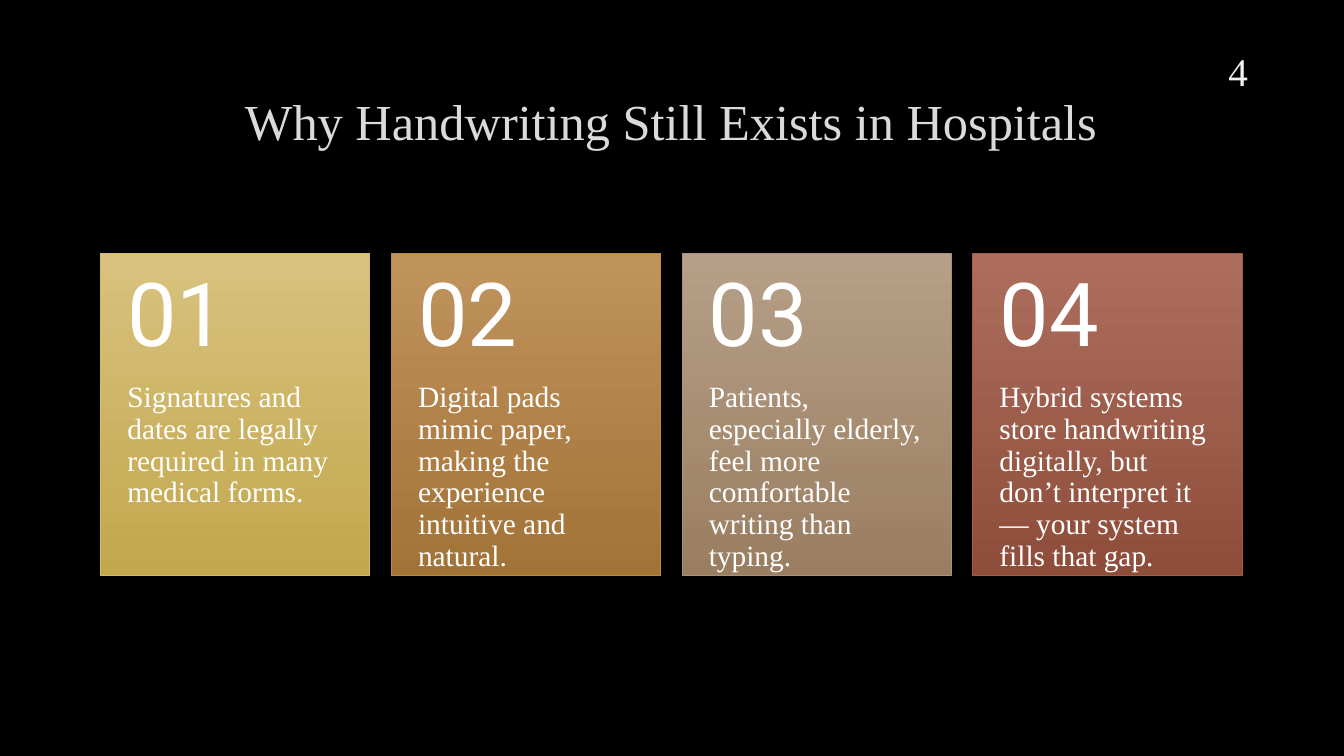
from pptx import Presentation
from pptx.dml.color import RGBColor
from pptx.enum.shapes import MSO_SHAPE as Shape
from pptx.enum.text import MSO_ANCHOR as Anchor, MSO_AUTO_SIZE as AutoSize, PP_ALIGN as Align
from pptx.util import Pt

SERIF = "Times New Roman"
WHITE = "FFFFFF"

# Card grid
CARD_LEFT, CARD_TOP = 72, 180.8
CARD_WIDTH, CARD_HEIGHT = 192.3, 230.4
CARD_STEP = 207.65
NUMBER_HEIGHT = 92.2

# Text, gradient top, gradient bottom, border
CARDS = [
    ("Signatures and dates are legally required in many medical forms.",
     "D8C27E", "C2A74D", "D3BA68"),
    ("Digital pads mimic paper, making the experience intuitive and natural.",
     "C1935D", "A17337", "BB8640"),
    ("Patients, especially elderly, feel more comfortable writing than typing.",
     "B69F88", "9A7E61", "AD9277"),
    ("Hybrid systems store handwriting digitally, but don’t interpret it — your system fills that gap.",
     "AD6E5E", "8E4D3A", "A55A43"),
]

NUMBER_FRAME = {"vertical_anchor": Anchor.MIDDLE, "margin_left": Pt(19), "margin_right": Pt(19),
                "margin_top": Pt(13), "margin_bottom": Pt(13)}
BODY_FRAME = {"vertical_anchor": Anchor.TOP, "margin_left": Pt(19), "margin_right": Pt(19),
              "margin_top": Pt(0), "margin_bottom": Pt(26)}
CARD_PARAGRAPH = {"alignment": Align.LEFT, "line_spacing": 0.9}


def color(hex_string):
    return RGBColor.from_string(hex_string)


def apply(target, values):
    for name, value in values.items():
        setattr(target, name, value)


def place(shape, left, top, width, height):
    apply(shape, {"left": Pt(left), "top": Pt(top), "width": Pt(width), "height": Pt(height)})


def write(shape, text, font_name, size, hex_string, frame_format, paragraph_format):
    frame = shape.text_frame
    apply(frame, {"text": text, "word_wrap": True, "auto_size": AutoSize.NONE, **frame_format})
    paragraph = frame.paragraphs[0]
    apply(paragraph, paragraph_format)
    font = paragraph.runs[0].font
    apply(font, {"name": font_name, "size": Pt(size)})
    font.color.rgb = color(hex_string)


def add_text(slide, box, *text_format):
    shape = slide.shapes.add_textbox(*map(Pt, box))
    write(shape, *text_format)


def add_panel(slide, box, top_color, bottom_color, border):
    panel = slide.shapes.add_shape(Shape.RECTANGLE, *map(Pt, box))
    panel.shadow.inherit = False
    panel.fill.gradient()
    panel.fill.gradient_angle = 270
    for stop, hex_string in zip(panel.fill.gradient_stops, (top_color, bottom_color)):
        stop.color.rgb = color(hex_string)
    panel.line.color.rgb = color(border)
    panel.line.width = Pt(0.75)


def add_card(slide, index, text, *colors):
    left = CARD_LEFT + index * CARD_STEP
    add_panel(slide, (left, CARD_TOP, CARD_WIDTH, CARD_HEIGHT), *colors)
    add_text(slide, (left, CARD_TOP + NUMBER_HEIGHT, CARD_WIDTH, CARD_HEIGHT - NUMBER_HEIGHT),
             text, SERIF, 21, WHITE, BODY_FRAME, CARD_PARAGRAPH)
    add_text(slide, (left, CARD_TOP, CARD_WIDTH, NUMBER_HEIGHT),
             f"{index + 1:02}", "Roboto", 63, WHITE, NUMBER_FRAME, CARD_PARAGRAPH)


def main():
    presentation = Presentation()
    apply(presentation, {"slide_width": Pt(960), "slide_height": Pt(540)})
    slide = presentation.slides.add_slide(presentation.slide_layouts[5])
    slide.background.fill.solid()
    slide.background.fill.fore_color.rgb = color("000000")

    # Title
    title = slide.shapes.title
    place(title, 72, 48, 815, 76.5)
    write(title, "Why Handwriting Still Exists in Hospitals", SERIF, 36, "DADADA",
          {"vertical_anchor": Anchor.MIDDLE}, {"alignment": Align.CENTER})

    # Numbered cards
    for index, card in enumerate(CARDS):
        add_card(slide, index, *card)

    # Page number
    add_text(slide, (839.5, 36, 59, 29), "4", SERIF, 28, "F2F2F2",
             {"vertical_anchor": Anchor.MIDDLE}, {"alignment": Align.RIGHT})

    presentation.save("out.pptx")


if __name__ == "__main__":
    main()
